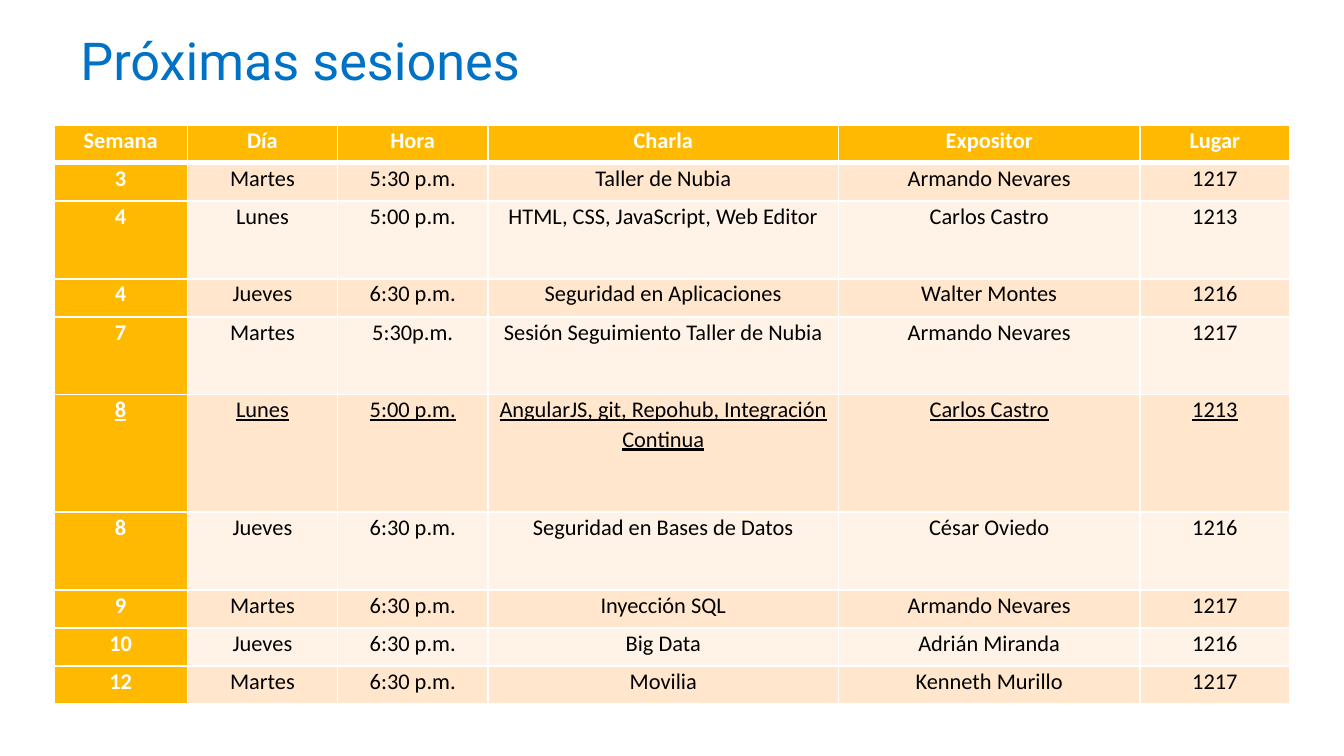
"""Build the slide that lists the upcoming sessions in a timetable."""
from lxml.etree import SubElement
from pptx import Presentation
from pptx.dml.color import RGBColor
from pptx.enum.text import MSO_ANCHOR as Anchor, PP_ALIGN as Align
from pptx.oxml.ns import qn
from pptx.util import Cm, Pt

COLORS = {
    "title": "0072C6",
    "accent": "FFB900",
    "odd": "FFE6CC",
    "even": "FFF3E7",
    "light": "FFFFFF",
    "dark": "000000",
}
SESSIONS = [
    ("Semana", "Día", "Hora", "Charla", "Expositor", "Lugar"),
    ("3", "Martes", "5:30 p.m.", "Taller de Nubia", "Armando Nevares", "1217"),
    ("4", "Lunes", "5:00 p.m.", "HTML, CSS, JavaScript, Web Editor", "Carlos Castro", "1213"),
    ("4", "Jueves", "6:30 p.m.", "Seguridad en Aplicaciones", "Walter Montes", "1216"),
    ("7", "Martes", "5:30p.m.", "Sesión Seguimiento Taller de Nubia", "Armando Nevares", "1217"),
    ("8", "Lunes", "5:00 p.m.", "AngularJS, git, Repohub, Integración Continua", "Carlos Castro", "1213"),
    ("8", "Jueves", "6:30 p.m.", "Seguridad en Bases de Datos", "César Oviedo", "1216"),
    ("9", "Martes", "6:30 p.m.", "Inyección SQL", "Armando Nevares", "1217"),
    ("10", "Jueves", "6:30 p.m.", "Big Data", "Adrián Miranda", "1216"),
    ("12", "Martes", "6:30 p.m.", "Movilia", "Kenneth Murillo", "1217"),
]
COLUMN_WIDTHS = [2.52, 2.84, 2.84, 6.63, 5.69, 2.84]
LINES_PER_ROW = [1, 1, 2, 1, 2, 3, 2, 1, 1, 1]
ROW_HEIGHTS = [0.72 + 0.75 * (lines - 1) for lines in LINES_PER_ROW]
UNDERLINED_ROW = 5
CELL_FORMAT = {"margin_left": Cm(0.18), "margin_right": Cm(0.18), "margin_top": 0,
               "margin_bottom": 0, "vertical_anchor": Anchor.TOP}
PARAGRAPH_FORMAT = {"alignment": Align.CENTER, "line_spacing": 1.07, "space_after": Pt(8)}
TITLE_FORMAT = {"word_wrap": True, "margin_top": 0, "margin_bottom": Cm(0.13),
                "vertical_anchor": Anchor.MIDDLE}


def apply_format(target, values):
    for attribute, value in values.items():
        setattr(target, attribute, value)


def write(paragraph, text, color, **font_format):
    run = paragraph.add_run()
    run.text = text
    apply_format(run.font, font_format)
    run.font.color.rgb = RGBColor.from_string(COLORS[color])


presentation = Presentation()
presentation.slide_width, presentation.slide_height = Cm(25.4), Cm(14.29)
slide = presentation.slides.add_slide(presentation.slide_layouts[6])

timetable = slide.shapes.add_table(
    len(SESSIONS), len(COLUMN_WIDTHS), Cm(1.02), Cm(2.36),
    Cm(sum(COLUMN_WIDTHS)), Cm(sum(ROW_HEIGHTS))).table
for column, width in zip(timetable.columns, COLUMN_WIDTHS):
    column.width = Cm(width)
for row, height in zip(timetable.rows, ROW_HEIGHTS):
    row.height = Cm(height)

for row_index, session in enumerate(SESSIONS):
    band = "odd" if row_index % 2 else "even"
    for column_index, text in enumerate(session):
        cell = timetable.cell(row_index, column_index)
        heading = row_index == 0 or column_index == 0
        apply_format(cell, CELL_FORMAT)

        borders = {"a:lnL": 1, "a:lnR": 1,
                   "a:lnT": 3 if row_index == 1 else 1,
                   "a:lnB": 3 if row_index == 0 else 1}
        for side, points in borders.items():
            border = SubElement(cell._tc.get_or_add_tcPr(), qn(side), w=str(Pt(points)))
            border_fill = SubElement(border, qn("a:solidFill"))
            SubElement(border_fill, qn("a:srgbClr"), val=COLORS["light"])
        cell.fill.solid()
        cell.fill.fore_color.rgb = RGBColor.from_string(COLORS["accent" if heading else band])

        paragraph = cell.text_frame.paragraphs[0]
        apply_format(paragraph, PARAGRAPH_FORMAT)
        write(paragraph, text, "light" if heading else "dark", name="Calibri", size=Pt(12),
              bold=heading, underline=row_index == UNDERLINED_ROW)

title = slide.shapes.add_textbox(Cm(1.27), Cm(0.58), Cm(22.91), Cm(1.22)).text_frame
apply_format(title, TITLE_FORMAT)
write(title.paragraphs[0], "Próximas sesiones", "title", name="Roboto", size=Pt(28))

presentation.save("out.pptx")
